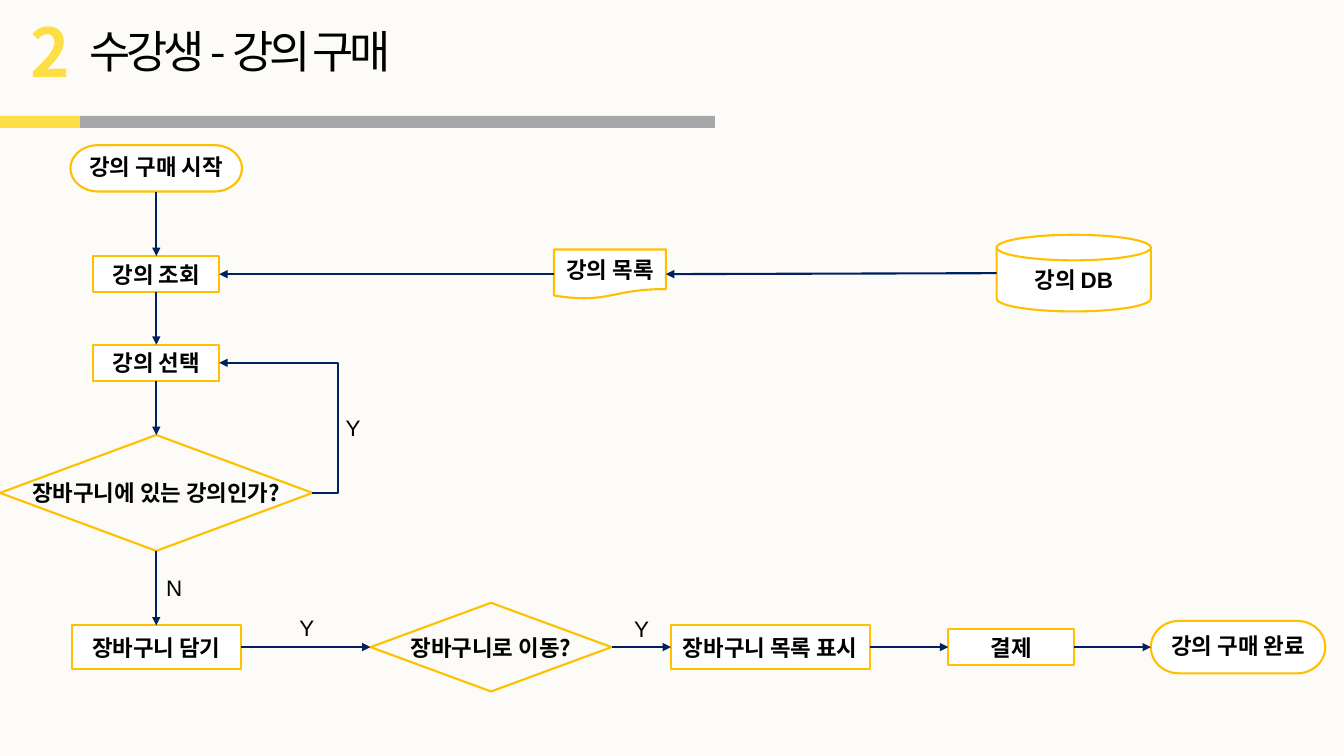
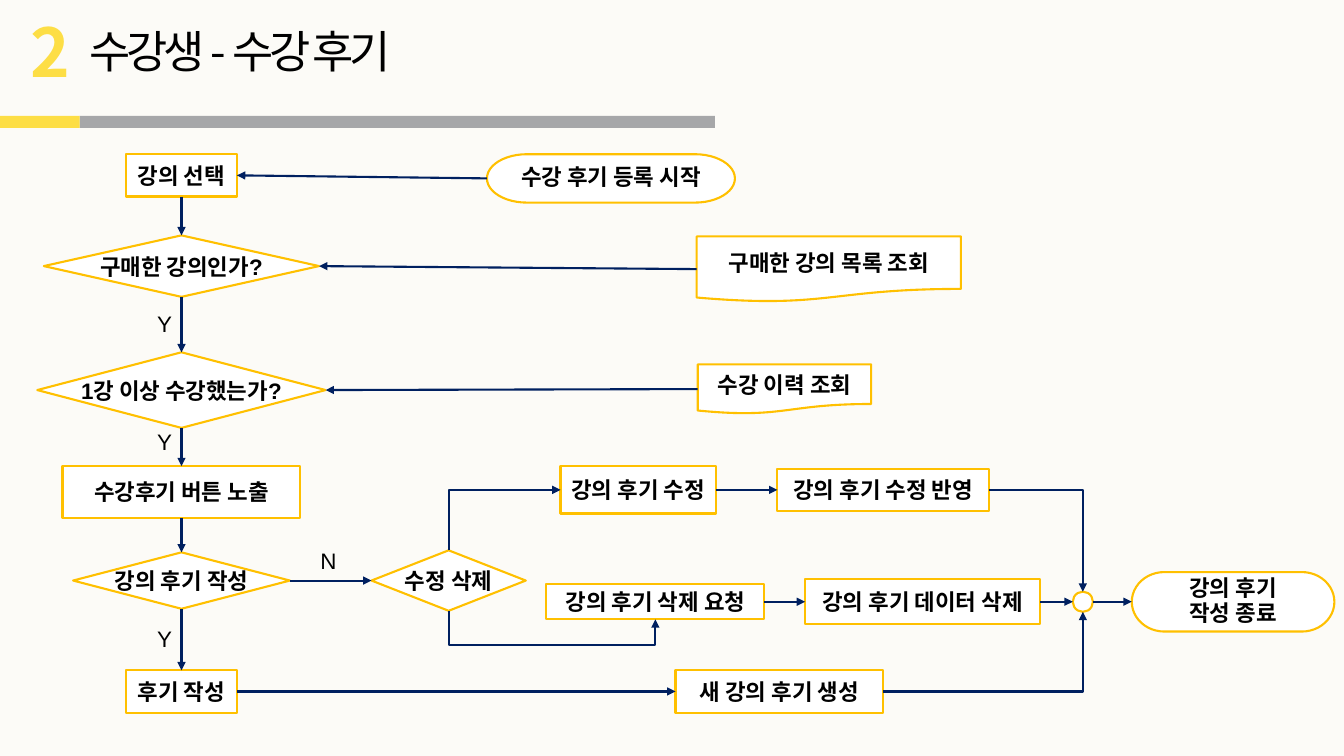
import pptx
import pptx.util
import pptx.dml.color
import pptx.enum.shapes
import pptx.enum.text
import pptx.oxml.ns
import lxml.etree
import dataclasses

Inches = pptx.util.Inches
Pt = pptx.util.Pt
Form = pptx.enum.shapes.MSO_SHAPE
Link = pptx.enum.shapes.MSO_CONNECTOR
Align = pptx.enum.text.PP_ALIGN
Mid = pptx.enum.text.MSO_ANCHOR.MIDDLE
Fit = pptx.enum.text.MSO_AUTO_SIZE.SHAPE_TO_FIT_TEXT
qn = pptx.oxml.ns.qn


@dataclasses.dataclass(frozen=True)
class Theme:
    """Colours, fonts and sizes that the slides share."""
    page: str = "FCFBF7"
    ink: str = "000000"
    white: str = "FFFFFF"
    edge: str = "FFC000"
    wire: str = "002060"
    gold: str = "FDDE45"
    gray: str = "A6A7A9"
    latin: str = "Arial"
    hangul: str = "Noto Sans CJK KR"
    body: int = 16
    title: int = 32
    mark: int = 48
    stroke: float = 1.5


LOOK = Theme()
FORMS = {
    "box": Form.RECTANGLE,
    "term": Form.FLOWCHART_TERMINATOR,
    "ask": Form.FLOWCHART_DECISION,
    "open": Form.FLOWCHART_DECISION,
    "doc": Form.FLOWCHART_DOCUMENT,
    "disk": Form.FLOWCHART_MAGNETIC_DISK,
    "join": Form.FLOWCHART_CONNECTOR,
}
SITES = {"disk": dict(t=1, l=2, b=3, r=4), "join": dict(t=0, l=2, b=4, r=6)}
PLAIN = dict(t=0, l=1, b=2, r=3)
SIDES = dict(t=(0, -0.5), l=(-0.5, 0), b=(0, 0.5), r=(0.5, 0))


def tint(code):
    """Turn a hex code into a colour."""
    return pptx.dml.color.RGBColor.from_string(code)


def put(item, values):
    """Set each named value on an item."""
    for name, value in values.items():
        setattr(item, name, value)


def write(frame, text, size=LOOK.body, face=LOOK.latin, color=LOOK.ink,
          bold=False, para=None, marks=None, track=None):
    """Fill a text frame, one paragraph for each line."""
    for at, words in enumerate(text.split("\n")):
        line = frame.add_paragraph() if at else frame.paragraphs[0]
        put(line, para or {})
        for name, value in (marks or {}).items():
            line._p.get_or_add_pPr().set(name, str(value))
        run = line.add_run()
        run.text = words
        put(run.font, dict(size=Pt(size), name=face, bold=bold))
        run.font.color.rgb = tint(color)
        props = run._r.get_or_add_rPr()
        east = lxml.etree.SubElement(props, qn("a:ea"))
        east.set("typeface", LOOK.hangul)
        if track is not None:
            props.set("spc", str(track))


def label(slide, box, text, **style):
    """Add a text box that does not wrap."""
    frame = slide.shapes.add_textbox(*map(Inches, box)).text_frame
    put(frame, dict(word_wrap=False, auto_size=Fit))
    write(frame, text, **style)


def shape(slide, form, box, fill, edge=None):
    """Add a flat preset shape."""
    item = slide.shapes.add_shape(form, *map(Inches, box))
    item.shadow.inherit = False
    if fill:
        item.fill.solid()
        item.fill.fore_color.rgb = tint(fill)
    else:
        item.fill.background()
    if edge:
        item.line.color.rgb = tint(edge)
        item.line.width = Pt(LOOK.stroke)
    else:
        item.line.fill.background()
    return item


def head(slide, box, mark, title):
    """Draw the number, the title and the two-part rule."""
    x, y, w, h = box
    split, thick = 0.79, 0.12
    base = y + h - thick
    shape(slide, Form.RECTANGLE, (x + split, base, w - split, thick), LOOK.gray)
    shape(slide, Form.RECTANGLE, (x, base, split, thick), LOOK.gold)
    label(slide, (x + split, y + 0.19, 3.54, 0.64), title, size=LOOK.title,
          face=LOOK.hangul, track=-300)
    label(slide, (x + 0.2, y + 0.05, 0.59, 0.91), mark, size=LOOK.mark,
          face=LOOK.hangul, color=LOOK.gold, bold=True)


def node(slide, kind, box, text):
    """Draw one step of a flow."""
    fill = None if kind == "open" else LOOK.white
    item = shape(slide, FORMS[kind], box, fill, LOOK.edge)
    wide = kind in ("doc", "open")
    side, top = (0.04, 0.04) if wide else (0.02, 0)
    frame = item.text_frame
    put(frame, dict(margin_left=Inches(side), margin_right=Inches(side),
                    margin_top=Inches(top), margin_bottom=Inches(top),
                    vertical_anchor=Mid, word_wrap=kind in ("box", "term")))
    para, marks = dict(alignment=Align.CENTER), {}
    if kind == "term":
        para["line_spacing"] = 0.9
        marks = dict(marL=Inches(0.19), indent=-Inches(0.19))
    if text:
        face = LOOK.hangul if kind == "open" else LOOK.latin
        write(frame, text, face=face, bold=True, para=para, marks=marks)
    return item


def port(box, side):
    """Find the middle of one side of a box."""
    x, y, w, h = box
    dx, dy = SIDES[side]
    return x + w * (0.5 + dx), y + h * (0.5 + dy)


def spin(point, mid):
    """Turn a point a quarter clockwise round a centre."""
    return mid[0] - point[1] + mid[1], mid[1] + point[0] - mid[0]


def wire(slide, tail, side, tip, end, reach=None):
    """Join two steps by an arrow, bent where the sides call for it."""
    start, stop = port(tail[1], side), port(tip[1], end)
    bent = (side in "tb") != (end in "tb")
    elbow = bent or reach is not None
    turn = elbow and side in "tb"
    if turn:
        mid = [(a + b) / 2 for a, b in zip(start, stop)]
        start, stop = spin(start, mid), spin(stop, mid)
    line = slide.shapes.add_connector(
        Link.ELBOW if elbow else Link.STRAIGHT, *map(Inches, start + stop))
    line.line.color.rgb = tint(LOOK.wire)
    line.line.width = Pt(LOOK.stroke)
    props = line._element.spPr
    lxml.etree.SubElement(props.find(qn("a:ln")), qn("a:tailEnd")).set(
        "type", "triangle")
    lxml.etree.SubElement(props, qn("a:effectLst"))
    if turn:
        props.find(qn("a:xfrm")).set("rot", "16200000")
    shell = props.find(qn("a:prstGeom"))
    if bent:
        shell.set("prst", "bentConnector2")
    elif elbow:
        ratio = round(reach / abs(stop[0] - start[0]) * 100000)
        guide = lxml.etree.SubElement(shell.find(qn("a:avLst")), qn("a:gd"))
        put_xml = dict(name="adj1", fmla=f"val {ratio}")
        for name, value in put_xml.items():
            guide.set(name, value)
    hold = line._element.find(".//" + qn("p:cNvCxnSpPr"))
    for tag, part, edge in (("a:stCxn", tail, side), ("a:endCxn", tip, end)):
        glue = lxml.etree.SubElement(hold, qn(tag))
        glue.set("id", str(part[2].shape_id))
        glue.set("idx", str(SITES.get(part[0], PLAIN)[edge]))


def flow(slide, box, nodes, links, tags):
    """Draw steps, arrows and answers inside a box."""
    left, top = box[:2]
    parts = {}
    for name, (kind, x, y, w, h, text) in nodes.items():
        place = (left + x - w / 2, top + y - h / 2, w, h)
        parts[name] = kind, place, node(slide, kind, place, text)
    for tail, side, tip, end, *reach in links:
        wire(slide, parts[tail], side, parts[tip], end, *reach)
    for text, x, y in tags:
        label(slide, (left + x, top + y, 0.34, 0.37), text)


def chain(names, side, end):
    """Link each named step to the next."""
    names = names.split()
    return [(a, side, b, end) for a, b in zip(names, names[1:])]


COL, ROW = 1.55, 5.02
BUY = dict(
    title="수강생 - 강의 구매",
    nodes=dict(
        start=("term", COL, 0.27, 1.7, 0.46, "강의 구매 시작"),
        find=("box", COL, 1.32, 1.25, 0.36, "강의 조회"),
        pick=("box", COL, 2.2, 1.25, 0.36, "강의 선택"),
        held=("open", COL, 3.49, 3.1, 1.15, "장바구니에 있는 강의인가?"),
        add=("box", COL, ROW, 1.68, 0.43, "장바구니 담기"),
        move=("open", 4.87, ROW, 2.39, 0.88, "장바구니로 이동?"),
        show=("box", 7.64, ROW, 1.97, 0.43, "장바구니 목록 표시"),
        pay=("box", 10.03, ROW, 1.25, 0.36, "결제"),
        done=("term", 12.28, ROW, 1.73, 0.52, "강의 구매 완료"),
        list=("doc", 6.05, 1.32, 1.11, 0.49, "강의 목록"),
        data=("disk", 10.65, 1.31, 1.53, 0.76, "강의 DB"),
    ),
    links=chain("start find pick held add", "b", "t")
    + chain("add move show pay done", "r", "l")
    + chain("data list find", "l", "r")
    + [("held", "r", "pick", "r", -0.25)],
    tags=[("N", 1.55, 4.25), ("Y", 2.87, 4.64),
          ("Y", 3.33, 2.66), ("Y", 6.19, 4.65)],
)

LANE, EDIT, DROP, LAST = 1.8, 3.46, 4.57, 5.46
NOTE = dict(
    title="수강생 - 수강 후기",
    nodes=dict(
        start=("term", 6.06, 0.37, 2.46, 0.48, "수강 후기 등록 시작"),
        pick=("box", LANE, 0.34, 1.1, 0.42, "강의 선택"),
        own=("ask", LANE, 1.24, 2.73, 0.61, "구매한 강의인가?"),
        seen=("ask", LANE, 2.47, 2.86, 0.75, "1강 이상 수강했는가?"),
        show=("box", LANE, 3.48, 2.36, 0.51, "수강후기 버튼 노출"),
        write=("ask", LANE, 4.36, 2.15, 0.56, "강의 후기 작성"),
        new=("box", LANE, LAST, 1.1, 0.42, "후기 작성"),
        make=("box", 7.73, LAST, 2.06, 0.42, "새 강의 후기 생성"),
        fork=("ask", 4.45, 4.36, 1.53, 0.6, "수정 삭제"),
        edit=("box", 6.33, EDIT, 1.54, 0.47, "강의 후기 수정"),
        save=("box", 8.76, EDIT, 2.1, 0.42, "강의 후기 수정 반영"),
        drop=("box", 6.5, DROP, 2.16, 0.35, "강의 후기 삭제 요청"),
        wipe=("box", 9.15, DROP, 2.33, 0.45, "강의 후기 데이터 삭제"),
        join=("join", 10.74, DROP, 0.2, 0.2, ""),
        done=("term", 12.23, DROP, 2.01, 0.59, "강의 후기\n작성 종료"),
        list=("doc", 8.22, 1.27, 2.62, 0.65, "구매한 강의 목록 조회"),
        past=("doc", 7.78, 2.46, 1.72, 0.49, "수강 이력 조회"),
    ),
    links=chain("pick own seen show write new", "b", "t")
    + chain("drop wipe join done", "r", "l")
    + chain("edit save", "r", "l") + chain("write fork", "r", "l")
    + chain("new make", "r", "l") + chain("start pick", "l", "r")
    + chain("list own", "l", "r") + chain("past seen", "l", "r")
    + [("fork", "t", "edit", "l"), ("fork", "b", "drop", "b", 0.34),
       ("save", "r", "join", "t"), ("make", "r", "join", "b")],
    tags=[("Y", 1.46, 1.63), ("Y", 1.46, 2.8),
          ("Y", 1.46, 4.75), ("N", 3.08, 3.98)],
)


def main():
    """Build and save the slides."""
    deck = pptx.Presentation()
    put(deck, dict(slide_width=Inches(13.33), slide_height=Inches(7.5)))
    for plan in (BUY, NOTE):
        slide = deck.slides.add_slide(deck.slide_layouts[6])
        slide.background.fill.solid()
        slide.background.fill.fore_color.rgb = tint(LOOK.page)
        head(slide, (0, 0, 7.09, 1.27), "2", plan["title"])
        flow(slide, (0, 1.4, 13.33, 6.1), plan["nodes"], plan["links"],
             plan["tags"])
    deck.save("out.pptx")


if __name__ == "__main__":
    main()
